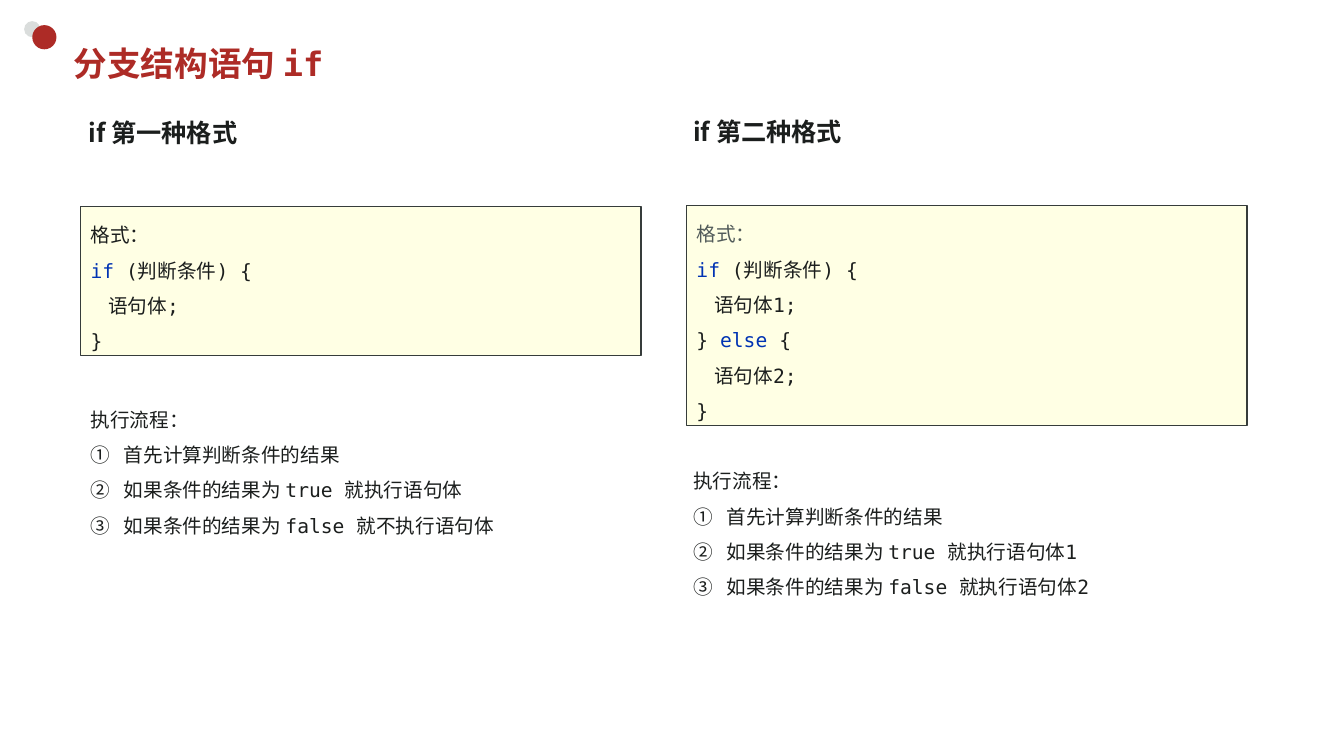
from dataclasses import dataclass

from lxml.etree import SubElement
from pptx import Presentation
from pptx.dml.color import RGBColor
from pptx.enum.shapes import MSO_SHAPE
from pptx.enum.text import MSO_ANCHOR, MSO_AUTO_SIZE, PP_ALIGN
from pptx.oxml.ns import qn
from pptx.shapes.autoshape import Shape
from pptx.slide import Slide
from pptx.util import Inches, Pt

SLIDE_WIDTH, SLIDE_HEIGHT = Inches(13.33), Inches(7.5)


@dataclass(frozen=True)
class Theme:
    red: str = "AD2B26"
    grey: str = "DADDDC"
    ink: str = "1B1E1D"
    muted: str = "525B5A"
    keyword: str = "0033B3"
    paper: str = "FFFFE4"
    border: str = "363C3B"
    mono: str = "DejaVu Sans Mono"
    sans: str = "Noto Sans CJK JP"
    title_size: int = 24
    heading_size: int = 18
    body_size: int = 14
    line_spacing: float = 1.5


THEME = Theme()


@dataclass(frozen=True)
class Area:
    """A rectangle in percent of the slide's width and height."""
    left: float
    top: float
    width: float
    height: float

    def lengths(self) -> tuple[int, ...]:
        horizontal, vertical = SLIDE_WIDTH / 100, SLIDE_HEIGHT / 100
        return (round(self.left * horizontal), round(self.top * vertical),
                round(self.width * horizontal), round(self.height * vertical))


@dataclass(frozen=True)
class Line:
    """One paragraph, cut into spans; keywords get their own colour."""
    spans: tuple[str, ...]
    color: str = THEME.ink
    numbered: bool = False


@dataclass(frozen=True)
class Form:
    """One format of the if statement: heading, syntax and flow."""
    heading: str
    heading_area: Area
    syntax: tuple[Line, ...]
    syntax_area: Area
    steps: tuple[str, ...]
    flow_area: Area


KEYWORDS = ("if ", "else ")
CONDITION = Line(("if ", "(判断条件) {"))
CLOSING = Line(("}",))
FIRST_STEP = "首先计算判断条件的结果"

DOTS = (
    (Area(1.8, 2.8, 1.2, 2.13), THEME.grey),
    (Area(2.4, 3.33, 1.8, 3.2), THEME.red),
)
TITLE_AREA = Area(4.73, 4.93, 88.05, 6.93)

FORMS = (
    Form(
        "if 第一种格式", Area(5.85, 13.73, 88.2, 7.6),
        (Line(("格式：",)), CONDITION, Line(("    语句体;",)), CLOSING),
        Area(6, 27.33, 41.7, 19.73),
        (FIRST_STEP, "如果条件的结果为 true 就执行语句体",
         "如果条件的结果为 false 就不执行语句体"),
        Area(6, 51.73, 53.48, 19.73),
    ),
    Form(
        "if 第二种格式", Area(50.85, 13.6, 43.28, 7.6),
        (Line(("格式：",), THEME.muted), CONDITION, Line(("    语句体1;",)),
         Line(("} ", "else ", "{")), Line(("    语句体2;",)), CLOSING),
        Area(51.08, 27.2, 41.7, 29.07),
        (FIRST_STEP, "如果条件的结果为 true 就执行语句体1",
         "如果条件的结果为 false 就执行语句体2"),
        Area(50.85, 59.87, 49.15, 19.73),
    ),
)


def write_lines(box: Shape, lines: tuple[Line, ...], size: int, font: str,
                bold: bool = False, spacing: float = 1.0) -> None:
    frame = box.text_frame
    frame.word_wrap = True
    for index, line in enumerate(lines):
        para = frame.add_paragraph() if index else frame.paragraphs[0]
        para.alignment = PP_ALIGN.LEFT
        para.line_spacing = spacing
        properties = para._p.get_or_add_pPr()
        if line.numbered:
            properties.set("marL", str(Inches(0.33)))
            properties.set("indent", str(-Inches(0.33)))
            SubElement(properties, qn("a:buAutoNum"), type="circleNumDbPlain")
        para.font.size = Pt(size)
        para.font.bold = bold
        para.font.name = font
        para.font.color.rgb = RGBColor.from_string(line.color)
        # East Asian characters use the sans font throughout
        SubElement(properties.find(qn("a:defRPr")), qn("a:ea"),
                   typeface=THEME.sans)
        for text in line.spans:
            span = para.add_run()
            span.text = text
            if text in KEYWORDS:
                span.font.color.rgb = RGBColor.from_string(THEME.keyword)


def add_filled(page: Slide, preset: MSO_SHAPE, area: Area, color: str) -> Shape:
    shape = page.shapes.add_shape(preset, *area.lengths())
    shape.shadow.inherit = False
    shape.fill.solid()
    shape.fill.fore_color.rgb = RGBColor.from_string(color)
    shape.line.fill.background()
    return shape


def add_title(page: Slide, text: str) -> None:
    title = page.shapes.title
    title.left, title.top, title.width, title.height = TITLE_AREA.lengths()
    title.text_frame.vertical_anchor = MSO_ANCHOR.MIDDLE
    title.text_frame.auto_size = MSO_AUTO_SIZE.NONE
    write_lines(title, (Line((text,), THEME.red),), THEME.title_size,
                THEME.mono, bold=True)


def add_form(page: Slide, form: Form) -> None:
    # Heading
    heading = page.shapes.add_textbox(*form.heading_area.lengths())
    heading.text_frame.vertical_anchor = MSO_ANCHOR.MIDDLE
    write_lines(heading, (Line((form.heading,)),), THEME.heading_size,
                THEME.sans, bold=True)

    # Execution flow and syntax panel
    flow = page.shapes.add_textbox(*form.flow_area.lengths())
    panel = add_filled(page, MSO_SHAPE.RECTANGLE, form.syntax_area, THEME.paper)
    panel.line.color.rgb = RGBColor.from_string(THEME.border)
    panel.line.width = Pt(1)
    steps = tuple(Line((step,), numbered=True) for step in form.steps)
    flow_lines = (Line(("执行流程：",)), *steps)
    for box, lines in ((flow, flow_lines), (panel, form.syntax)):
        box.text_frame.vertical_anchor = MSO_ANCHOR.TOP
        box.text_frame.auto_size = MSO_AUTO_SIZE.SHAPE_TO_FIT_TEXT
        write_lines(box, lines, THEME.body_size, THEME.mono,
                    spacing=THEME.line_spacing)


def main() -> None:
    deck = Presentation()
    deck.slide_width, deck.slide_height = SLIDE_WIDTH, SLIDE_HEIGHT
    page = deck.slides.add_slide(deck.slide_layouts[5])

    # Corner ornament and title
    for area, color in DOTS:
        add_filled(page, MSO_SHAPE.OVAL, area, color)
    add_title(page, "分支结构语句 if")

    # The two formats side by side
    for form in FORMS:
        add_form(page, form)
    deck.save("out.pptx")


if __name__ == "__main__":
    main()
